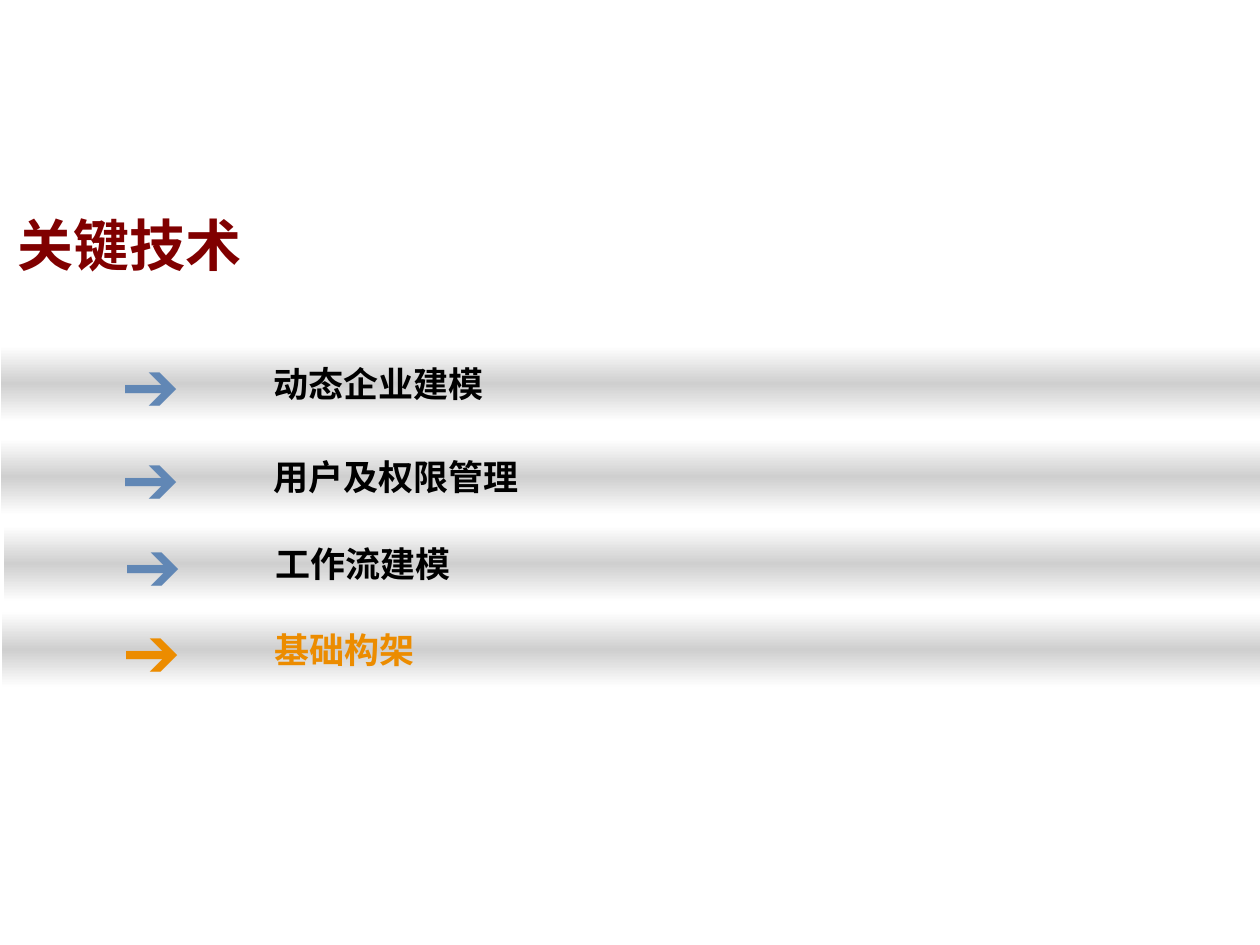
from copy import deepcopy

from lxml import etree
from pptx import Presentation
from pptx import util as u
from pptx.dml.color import RGBColor
from pptx.enum import shapes, text
from pptx.oxml import ns

COLORS = {"title": "800000", "body": "000000", "arrow": "6187B5",
          "active": "EC8C00", "edge": "FEFEFE", "middle": "CFCFCF"}
CHINESE_FONT = "Noto Sans CJK SC"
TOPICS = [("动态企业建模", 0.01, 2.75), ("用户及权限管理", 0.01, 3.49),
          ("工作流建模", 0.03, 4.18), ("基础构架", 0.02, 4.86)]
ACTIVE_TOPIC = "基础构架"


def add_label(parent, box, words, size, color, font=CHINESE_FONT, wrap=False, before=0):
    """Add one bold line of text in the given box and return its text frame."""
    frame = parent.add_textbox(*map(u.Inches, box)).text_frame
    frame.word_wrap = wrap
    para = frame.paragraphs[0]
    para.text = words
    para.space_before = u.Pt(before)
    para.font.name, para.font.size, para.font.bold = font, u.Pt(size), True
    para.font.color.rgb = RGBColor.from_string(COLORS[color])
    latin = para._p.pPr.find(".//" + ns.qn("a:latin"))
    east_asian = etree.Element(ns.qn("a:ea"), typeface=font)
    latin.addnext(east_asian)
    return frame


def add_band(parent, box):
    """Add a bar that fades from grey at its middle to white at both edges."""
    band = parent.add_shape(shapes.MSO_SHAPE.RECTANGLE, *map(u.Inches, box))
    band.shadow.inherit = False
    band.line.fill.background()
    band.fill.gradient()
    band.fill.gradient_angle = 90
    stop_list = band._element.spPr.find(".//" + ns.qn("a:gsLst"))
    stop_list.insert(1, deepcopy(stop_list[0]))
    for stop, position, color in zip(band.fill.gradient_stops, (0, 0.5, 1),
                                     ("edge", "middle", "edge")):
        stop.position = position
        stop.color.rgb = RGBColor.from_string(COLORS[color])


def add_topic(page, box, words, active):
    """Add a grouped band with its arrow and topic name."""
    left, top, width, height = box
    group = page.shapes.add_group_shape().shapes
    add_band(group, box)
    name = add_label(group, (left + 2.06, top + 0.09, 7.32, height - 0.18), words, 20,
                     "active" if active else "body", wrap=True)
    name.vertical_anchor = text.MSO_ANCHOR.MIDDLE
    arrow = add_label(group, (left + 0.81, top - 0.09, 0.75, height + 0.18), "➔", 40,
                      "active" if active else "arrow", font="Arial", before=10)
    arrow.paragraphs[0].alignment = text.PP_ALIGN.CENTER


def add_title(page, box):
    """Add the slide heading."""
    frame = add_label(page.shapes, box, "关键技术", 32, "title", before=8)
    frame.auto_size = text.MSO_AUTO_SIZE.SHAPE_TO_FIT_TEXT


def main():
    """Build the agenda slide and save it."""
    deck = Presentation()
    deck.slide_width, deck.slide_height = u.Inches(10), u.Inches(7.5)
    page = deck.slides.add_slide(deck.slide_layouts[6])
    add_title(page, (0.04, 1.62, 1.98, 0.64))
    for words, left, top in TOPICS:
        add_topic(page, (left, top, 10, 0.59), words, words == ACTIVE_TOPIC)
    deck.save("out.pptx")


if __name__ == "__main__":
    main()
